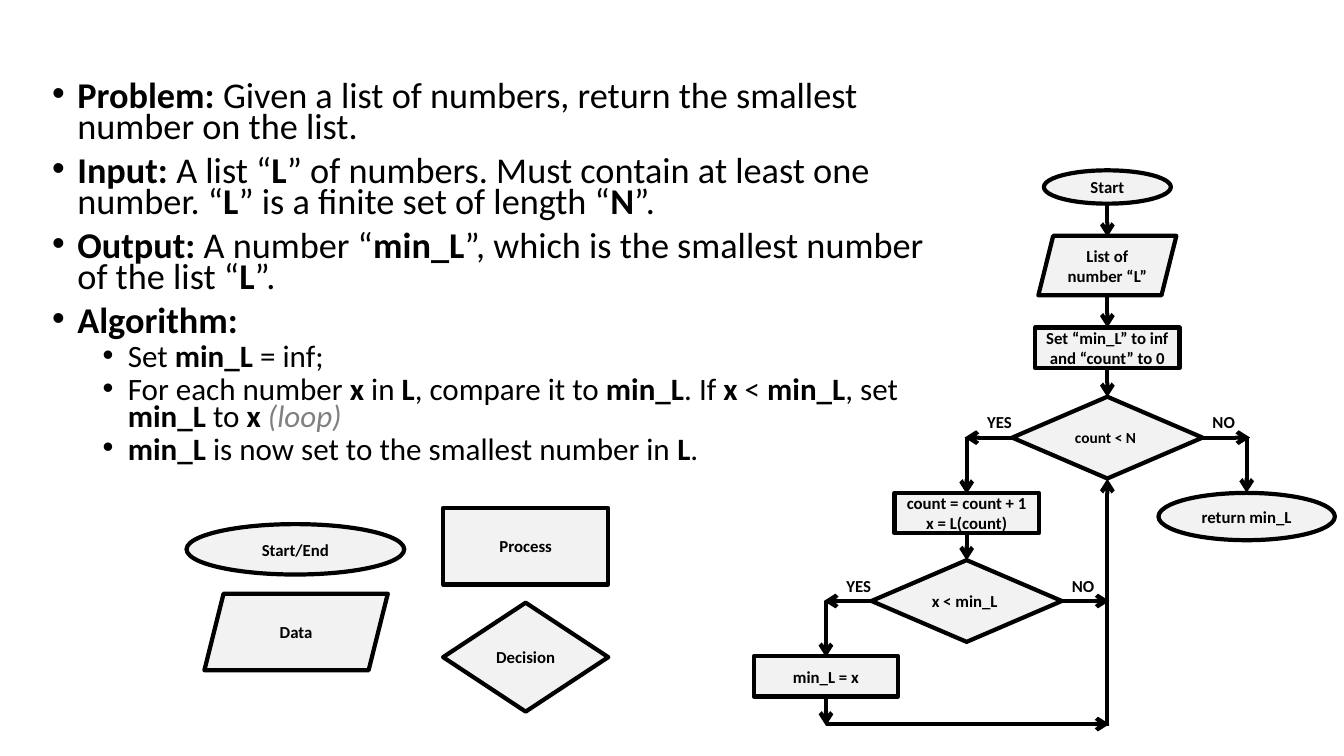
"""Build a slide that explains the smallest-number algorithm with a flowchart."""
from lxml.etree import SubElement
from pptx import Presentation
from pptx.dml.color import RGBColor
from pptx.enum.shapes import MSO_CONNECTOR as Connector, MSO_SHAPE as Shape
from pptx.enum.text import MSO_ANCHOR as Anchor, PP_ALIGN as Align
from pptx.oxml.ns import qn
from pptx.util import Pt

BLACK = RGBColor(0x00, 0x00, 0x00)
GREY = RGBColor(0x80, 0x80, 0x80)
PALE = RGBColor(0xF2, 0xF2, 0xF2)
FONT = "Calibri"
LOOP_NOTE = "(loop)"

MAIN_X, LOOP_X, ASSIGN_X, RETURN_X = 791, 690.5, 590, 890.5
COUNT_Y, COMPARE_Y, RETURN_LINE_Y = 312.6, 429.3, 517.2
STEP = (103, 28.8)
DECISION = (136, 58.4)
BRANCH = 34

STATEMENT = [
    (0, "*Problem: *Given a list of numbers, return the smallest number on the list."),
    (0, "*Input: *A list “*L*” of numbers. Must contain at least one number. "
        "“*L*” is a finite set of length “*N*”."),
    (0, "*Output: *A number “*min_L*”, which is the smallest number of the list “*L*”."),
    (0, "*Algorithm:*"),
    (1, "Set *min_L *= inf;"),
    (1, "For each number *x* in *L*, compare it to *min_L*. If *x *< *min_L*, "
        "set *min_L *to *x *" + LOOP_NOTE),
    (1, "*min_L *is now set to the smallest number in *L*."),
]

LEGEND = [
    (Shape.OVAL, 211, 392.4, 155.5, 36, "Start/End"),
    (Shape.PARALLELOGRAM, 211.5, 451.4, 131, 54.7, "Data"),
    (Shape.RECTANGLE, 375.5, 390.2, 118, 54.7, "Process"),
    (Shape.DIAMOND, 375.5, 469.4, 118, 77.8, "Decision"),
]

STEPS = [
    (Shape.OVAL, MAIN_X, 133.6, 90.7, 23.8, "Start"),
    (Shape.PARALLELOGRAM, MAIN_X, 189.7, 98.6, 42.5, "List of number “L”"),
    (Shape.RECTANGLE, MAIN_X, 248.4, *STEP, "Set “min_L” to inf and “count” to 0"),
    (Shape.RECTANGLE, LOOP_X, 366.5, *STEP, "count = count + 1\nx = L(count)"),
    (Shape.RECTANGLE, ASSIGN_X, 483.1, *STEP, "min_L = x"),
    (Shape.OVAL, RETURN_X, 369, 126, 33.8, "return min_L"),
]

FLOWS = [
    (MAIN_X, 146.2, MAIN_X, 169.2),
    (MAIN_X, 211, MAIN_X, 234),
    (MAIN_X, 262.8, MAIN_X, 283.7),
    (LOOP_X, COUNT_Y, LOOP_X, 352.8),
    (LOOP_X, 379.5, LOOP_X, 400.3),
    (ASSIGN_X, COMPARE_Y, ASSIGN_X, 469.4),
    (ASSIGN_X, 497.5, ASSIGN_X, 518.4),
    (ASSIGN_X, RETURN_LINE_Y, MAIN_X + 1.5, RETURN_LINE_Y),
    (MAIN_X, 518.4, MAIN_X, 342),
    (RETURN_X, COUNT_Y, RETURN_X, 352),
]


def style_run(run, size, bold=True, color=BLACK):
    """Set the font of a run."""
    run.font.name = FONT
    run.font.size = Pt(size)
    run.font.bold = bold
    run.font.color.rgb = color


def add_node(slide, kind, center_x, center_y, width, height, caption, size=12):
    """Add a captioned flowchart symbol around its centre."""
    node = slide.shapes.add_shape(kind, Pt(center_x - width / 2), Pt(center_y - height / 2),
                                  Pt(width), Pt(height))
    node.shadow.inherit = False
    node.fill.solid()
    node.fill.fore_color.rgb = PALE
    node.line.color.rgb = BLACK
    node.line.width = Pt(3)
    frame = node.text_frame
    frame.word_wrap = True
    frame.vertical_anchor = Anchor.MIDDLE
    frame.text = caption
    for paragraph in frame.paragraphs:
        paragraph.alignment = Align.CENTER
        for run in paragraph.runs:
            style_run(run, size)


def add_flow(slide, start_x, start_y, end_x, end_y):
    """Add an arrow between two points."""
    flow = slide.shapes.add_connector(Connector.STRAIGHT, Pt(start_x), Pt(start_y),
                                      Pt(end_x), Pt(end_y))
    flow.line.color.rgb = BLACK
    flow.line.width = Pt(3)
    SubElement(flow.line._get_or_add_ln(), qn("a:tailEnd"), type="arrow")
    SubElement(flow._element.spPr, qn("a:effectLst"))


def add_answer(slide, left, top, answer):
    """Add the label of a decision branch."""
    label = slide.shapes.add_textbox(Pt(left), Pt(top), Pt(36), Pt(21.6))
    label.text_frame.word_wrap = True
    label.text_frame.text = answer
    style_run(label.text_frame.paragraphs[0].runs[0], 12)


def add_decision(slide, center_x, center_y, question, size):
    """Add a decision with its YES branch on the left and NO on the right."""
    half = DECISION[0] / 2
    add_node(slide, Shape.DIAMOND, center_x, center_y, *DECISION, question, size)
    for side, answer, label_x in ((-1, "YES", -93), (1, "NO", half)):
        edge = center_x + side * half
        add_flow(slide, edge, center_y, edge + side * BRANCH, center_y)
        add_answer(slide, center_x + label_x, center_y - 21.8, answer)


def add_bullet(paragraph, level, marked_text):
    """Fill a bulleted paragraph, with bold between asterisks."""
    size = (25.9, 22.2)[level]
    paragraph.level = level
    paragraph.line_spacing = 0.7
    paragraph.space_before = Pt((10, 5)[level])
    properties = paragraph._p.get_or_add_pPr()
    properties.set("marL", str(Pt((18, 54)[level])))
    properties.set("indent", str(Pt(-18)))
    SubElement(properties, qn("a:buFont"), typeface="Arial")
    SubElement(properties, qn("a:buChar"), char="•")
    for position, part in enumerate(marked_text.split("*")):
        if part:
            run = paragraph.add_run()
            run.text = part
            is_note = part == LOOP_NOTE
            style_run(run, size, position % 2 == 1, GREY if is_note else BLACK)
            run.font.italic = is_note


def add_statement(slide):
    """Add the problem statement and the algorithm."""
    statement = slide.shapes.add_textbox(Pt(30.2), Pt(56.9), Pt(644.4), Pt(293.8))
    frame = statement.text_frame
    frame.word_wrap = True
    for index, (level, marked_text) in enumerate(STATEMENT):
        paragraph = frame.add_paragraph() if index else frame.paragraphs[0]
        add_bullet(paragraph, level, marked_text)


def main():
    """Build and save the slide."""
    deck = Presentation()
    deck.slide_width, deck.slide_height = Pt(960), Pt(540)
    slide = deck.slides.add_slide(deck.slide_layouts[6])
    for symbol in LEGEND + STEPS:
        add_node(slide, *symbol)
    add_decision(slide, MAIN_X, COUNT_Y, "count < N ", 11)
    add_decision(slide, LOOP_X, COMPARE_Y, "x < min_L ", 12)
    for flow in FLOWS:
        add_flow(slide, *flow)
    add_statement(slide)
    deck.save("out.pptx")


if __name__ == "__main__":
    main()
